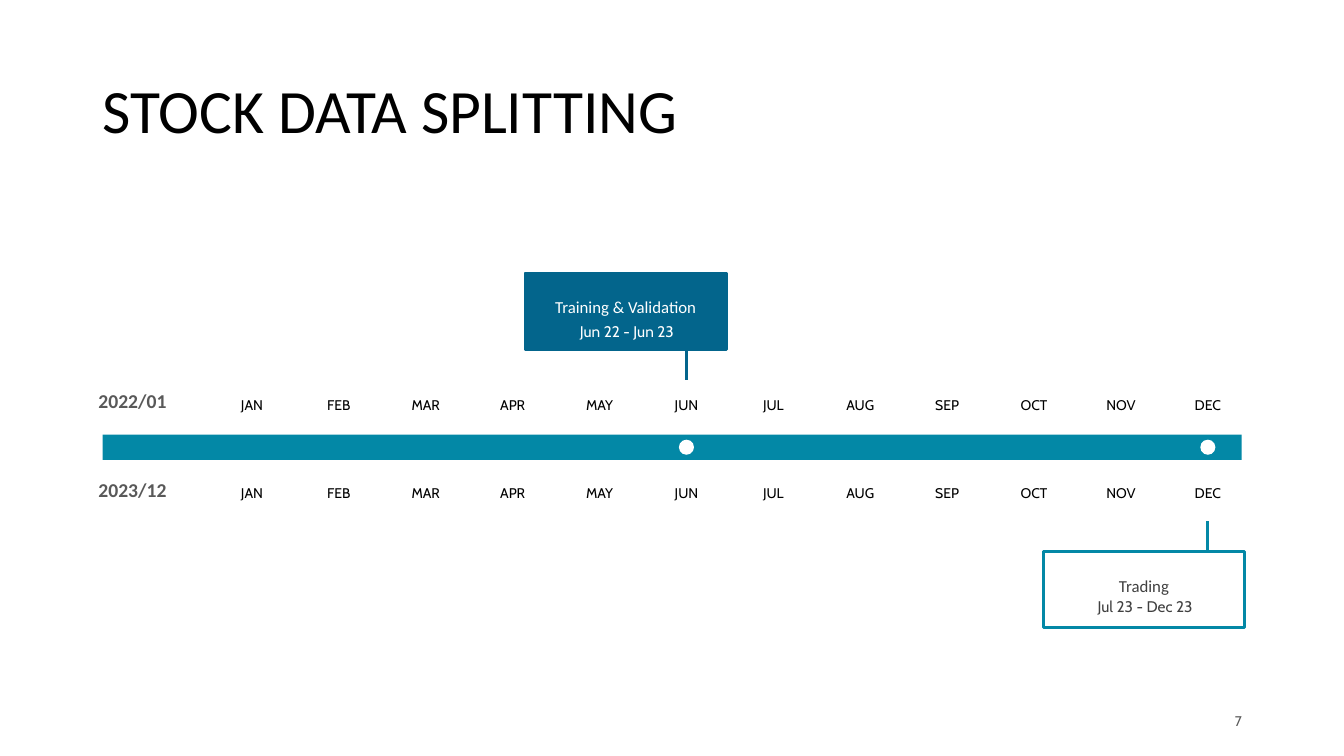
from dataclasses import dataclass

from lxml import etree
from pptx import Presentation
from pptx import util as u
from pptx.dml.color import RGBColor
from pptx.enum import shapes, text
from pptx.oxml.ns import qn

MONTHS = "JAN FEB MAR APR MAY JUN JUL AUG SEP OCT NOV DEC".split()
MONTH_LEFT, MONTH_STEP, MONTH_WIDTH = 5.46, 2.19, 1.78
BAR_TOP, BAR_HEIGHT, DOT = 10.95, 0.64, 0.38
BOX_WIDTH, BOX_HEIGHT, STEM = 5.08, 1.93, 0.76


@dataclass(frozen=True)
class Theme:
    black: str = "000000"
    white: str = "FFFFFF"
    grey: str = "595959"
    dark: str = "404040"
    teal: str = "0388A6"
    navy: str = "03658C"
    heading: str = "Calibri"
    body: str = "Cabin"
    title: int = 44
    year: int = 14
    label: int = 12
    date: int = 11
    small: int = 10
    line: int = 2


def rgb(value):
    return RGBColor.from_string(value)


def write(sp, content, *, size, font, color, bold=False, align="LEFT",
          anchor="TOP", spacing=0.9, insets=(0.25, 0.13, 0.25, 0.13)):
    """Put one formatted paragraph into a shape; insets run left, top, right, bottom."""
    tf = sp.text_frame
    tf.word_wrap = True
    tf.auto_size = text.MSO_AUTO_SIZE.NONE
    tf.vertical_anchor = text.MSO_ANCHOR[anchor]
    tf.margin_left, tf.margin_top, tf.margin_right, tf.margin_bottom = map(u.Cm, insets)
    p = tf.paragraphs[0]
    p.alignment = text.PP_ALIGN[align]
    p.line_spacing = spacing
    r = p.add_run()
    r.text = content
    r.font.size = u.Pt(size)
    r.font.name = font
    r.font.bold = bold
    r.font.color.rgb = rgb(color)


class Timeline:
    def __init__(self, prs, theme):
        self.theme = theme
        self.slide = prs.slides.add_slide(prs.slide_layouts[5])

    def title(self, content, *box):
        sp = self.slide.shapes.title
        sp.left, sp.top, sp.width, sp.height = map(u.Cm, box)
        write(sp, content, size=self.theme.title, font=self.theme.heading,
              color=self.theme.black, anchor="MIDDLE")

    def label(self, content, *box, **style):
        write(self.slide.shapes.add_textbox(*map(u.Cm, box)), content, **style)

    def shape(self, kind, *box, fill=None, line=None):
        sp = self.slide.shapes.add_shape(kind, *map(u.Cm, box))
        sp.shadow.inherit = False
        if fill:
            sp.fill.solid()
            sp.fill.fore_color.rgb = rgb(fill)
        else:
            sp.fill.background()
        if line:
            sp.line.color.rgb = rgb(line)
            sp.line.width = u.Pt(self.theme.line)
        else:
            sp.line.fill.background()
        return sp

    def stem(self, x, top, color):
        line = self.slide.shapes.add_connector(
            shapes.MSO_CONNECTOR.STRAIGHT, *map(u.Cm, (x, top, x, top + STEM)))
        line.line.color.rgb = rgb(color)
        line.line.width = u.Pt(self.theme.line)
        etree.SubElement(line._element.spPr, qn("a:effectLst"))

    def year_row(self, year, year_top, month_top):
        t = self.theme
        self.label(year, 2.11, year_top, 2.46, 1.27, size=t.year, font=t.heading,
                   color=t.grey, bold=True, align="CENTER", anchor="MIDDLE")
        for i, month in enumerate(MONTHS):
            self.label(month, MONTH_LEFT + i * MONTH_STEP, month_top, MONTH_WIDTH, 0.56,
                       size=t.small, font=t.body, color=t.black, align="CENTER")

    def marker(self, x):
        self.shape(shapes.MSO_SHAPE.OVAL, x - DOT / 2, BAR_TOP + (BAR_HEIGHT - DOT) / 2,
                   DOT, DOT, fill=self.theme.white)

    def callout(self, name, dates, left, top, dates_top, *, line, color, fill=None):
        t = self.theme
        sp = self.shape(shapes.MSO_SHAPE.RECTANGLE, left, top, BOX_WIDTH, BOX_HEIGHT,
                        fill=fill, line=line)
        write(sp, name, size=t.label, font=t.heading, color=color, align="CENTER",
              spacing=2.0, insets=(0, 0.1, 0, 0))
        self.label(dates, left + 0.22, dates_top, 4.7, 0.64, size=t.date, font=t.body,
                   color=color, align="CENTER", insets=(0, 0, 0, 0))


def month_centre(month):
    return MONTH_LEFT + MONTHS.index(month) * MONTH_STEP + MONTH_WIDTH / 2


def main():
    prs = Presentation()
    prs.slide_width, prs.slide_height = u.Cm(33.87), u.Cm(19.05)
    t = Theme()
    s = Timeline(prs, t)
    june, december = month_centre("JUN"), month_centre("DEC")

    s.title("STOCK DATA SPLITTING", 2.34, 1.02, 29.21, 3.68)
    s.shape(shapes.MSO_SHAPE.RECTANGLE, 2.59, BAR_TOP, 28.7, BAR_HEIGHT, fill=t.teal)
    s.year_row("2022/01", 9.5, 9.9)
    s.year_row("2023/12", 11.75, 12.12)
    for x in (june, december):
        s.marker(x)

    s.stem(june, 8.81, t.navy)
    s.stem(december, 13.13, t.teal)
    s.callout("Training & Validation", "Jun 22 - Jun 23", 13.23, 6.88, 8.18,
              line=t.navy, fill=t.navy, color=t.white)
    s.callout("Trading", "Jul 23 - Dec 23", 26.29, 13.89, 15.11,
              line=t.teal, color=t.dark)
    s.label("7", 23.93, 17.65, 7.62, 1.02, size=t.small, font=t.body, color=t.grey,
            align="RIGHT", anchor="MIDDLE", spacing=1.0)
    prs.save("out.pptx")


if __name__ == "__main__":
    main()
